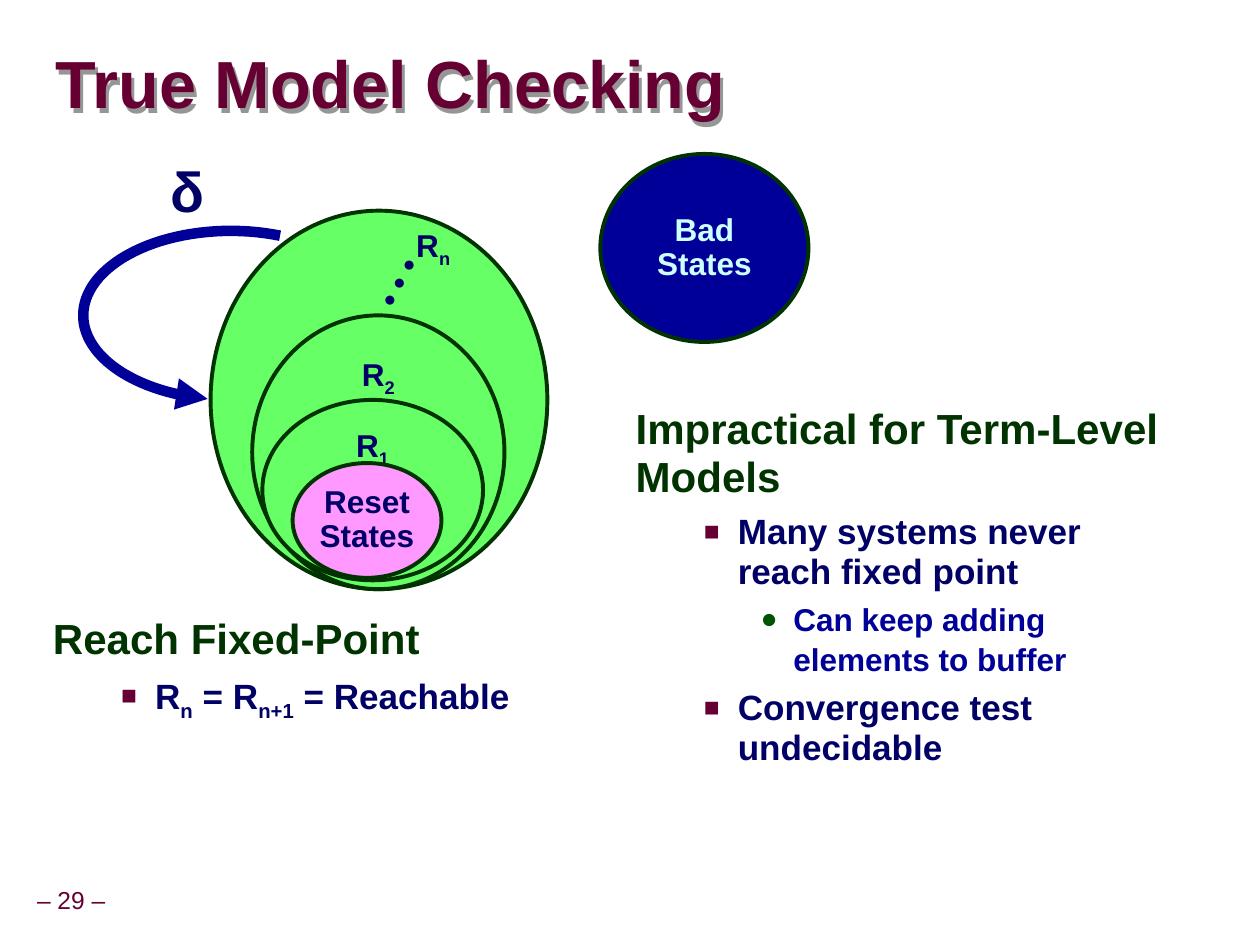
from math import cos, radians, sin

from lxml import etree
from pptx import Presentation
from pptx.dml.color import RGBColor
from pptx.enum.shapes import MSO_SHAPE as Preset
from pptx.enum.text import MSO_ANCHOR as Anchor, MSO_AUTO_SIZE as AutoSize, PP_ALIGN as Align
from pptx.oxml import parse_xml
from pptx.oxml.ns import nsdecls, qn
from pptx.util import Inches, Pt

MAROON = RGBColor(0x66, 0x00, 0x33)
DARK_GREEN = RGBColor(0x00, 0x33, 0x00)
BULLET_GREEN = RGBColor(0x00, 0x54, 0x00)
LIGHT_GREEN = RGBColor(0x66, 0xFF, 0x66)
NAVY = RGBColor(0x00, 0x00, 0x66)
BLUE = RGBColor(0x00, 0x00, 0x99)
PINK = RGBColor(0xFF, 0x99, 0xFF)
PALE_CYAN = RGBColor(0xCC, 0xFF, 0xFF)


def write(paragraph, text, size, color, bold=True, spacing=0.9, align=Align.CENTER):
    """Fill a paragraph; the pieces between bars become subscripts."""
    paragraph.alignment = align
    paragraph.line_spacing = spacing
    for index, piece in enumerate(text.split("|")):
        if not piece:
            continue
        run = paragraph.add_run()
        run.text = piece
        run.font.name = "Arial"
        run.font.size = Pt(size)
        run.font.bold = bold
        run.font.color.rgb = color
        if index % 2:
            run.font._element.set("baseline", "-25000")


def set_frame(shape, box, inset_x, inset_y, anchor=Anchor.TOP, wrap=False):
    """Place a shape and set up its text frame."""
    shape.left, shape.top, shape.width, shape.height = [Inches(value) for value in box]
    frame = shape.text_frame
    frame.auto_size = AutoSize.NONE
    frame.word_wrap = wrap
    frame.vertical_anchor = anchor
    frame.margin_left = frame.margin_right = Inches(inset_x)
    frame.margin_top = frame.margin_bottom = Inches(inset_y)
    return frame


presentation = Presentation()
presentation.slide_width = Inches(9.99)
presentation.slide_height = Inches(7.49)
slide = presentation.slides.add_slide(presentation.slide_layouts[3])
shapes = slide.shapes
title, left_body, right_body = slide.placeholders

# Title with a hard grey shadow
frame = set_frame(title, (0.44, 0.27, 9.5, 0.85), 0, 0, Anchor.MIDDLE, True)
write(frame.paragraphs[0], "True Model Checking", 38, MAROON, spacing=0.87, align=Align.LEFT)
title.fill.background()
title._element.spPr.append(parse_xml(
    f'<a:effectLst {nsdecls("a")}><a:outerShdw dist="42000" dir="3600000" algn="ctr" '
    'rotWithShape="0"><a:srgbClr val="969696"/></a:outerShdw></a:effectLst>'))

# Lists: size, colour, line spacing, space before, indent, hanging, bullet, its colour and size
LEVELS = [
    (24, DARK_GREEN, 0.95, 15, 0, 0, None, None, None),
    (20, NAVY, 0.95, 6.2, 0.81, 0.27, "■", MAROON, 75),
    (18, BLUE, 1.07, 2.2, 1.25, 0.26, "●", BULLET_GREEN, 90),
]
lists = [
    (left_body, (0.32, 4.83, 4.45, 2.2), [
        (0, "Reach Fixed-Point"),
        (1, "R|n| = R|n+1| = Reachable"),
    ]),
    (right_body, (4.94, 3.17, 4.45, 3.87), [
        (0, "Impractical for Term-Level Models"),
        (1, "Many systems never reach fixed point"),
        (2, "Can keep adding elements to buffer"),
        (1, "Convergence test undecidable"),
    ]),
]
for body, box, items in lists:
    frame = set_frame(body, box, 0.1, 0.05, wrap=True)
    for index, (level, text) in enumerate(items):
        size, color, spacing, before, indent, hanging, bullet, bullet_color, percent = LEVELS[level]
        paragraph = frame.add_paragraph() if index else frame.paragraphs[0]
        paragraph.level = level
        paragraph.space_before = Pt(before if index else 0)
        write(paragraph, text, size, color, spacing=spacing, align=Align.LEFT)
        properties = paragraph._p.get_or_add_pPr()
        properties.set("marL", str(Inches(indent)))
        properties.set("indent", str(-Inches(hanging)))
        if bullet:
            color_element = etree.SubElement(properties, qn("a:buClr"))
            etree.SubElement(color_element, qn("a:srgbClr"), val=str(bullet_color))
            etree.SubElement(properties, qn("a:buSzPct"), val=str(percent * 1000))
            etree.SubElement(properties, qn("a:buFont"), typeface="Arial")
            etree.SubElement(properties, qn("a:buChar"), char=bullet)
        else:
            etree.SubElement(properties, qn("a:buNone"))

# State sets, from the outermost inwards
state_sets = [
    ((1.67, 1.67, 2.67, 3), LIGHT_GREEN, NAVY, [], Anchor.TOP),
    ((2, 2.5, 2, 2.17), LIGHT_GREEN, NAVY, ["R|2|"], Anchor.TOP),
    ((2.08, 3.17, 1.75, 1.43), LIGHT_GREEN, NAVY, ["R|1|"], Anchor.TOP),
    ((2.32, 3.67, 1.18, 0.91), PINK, NAVY, ["Reset", "States"], Anchor.MIDDLE),
    ((4.76, 1.22, 1.65, 1.49), BLUE, PALE_CYAN, ["Bad", "States"], Anchor.MIDDLE),
]
for box, fill, color, lines, anchor in state_sets:
    ellipse = shapes.add_shape(Preset.OVAL, 0, 0, 0, 0)
    ellipse.shadow.inherit = False
    ellipse.fill.solid()
    ellipse.fill.fore_color.rgb = fill
    ellipse.line.color.rgb = DARK_GREEN
    ellipse.line.width = Pt(2.25)
    frame = set_frame(ellipse, box, 0.05, 0, anchor)
    for index, line in enumerate(lines):
        paragraph = frame.add_paragraph() if index else frame.paragraphs[0]
        write(paragraph, line, 18, color)

# Transition arrow: part of an ellipse, run anticlockwise from upper right to bottom
CENTER_X, CENTER_Y, RADIUS_X, RADIUS_Y = 1.83, 2.5, 1.17, 0.67
START, END, STEPS = -70.5, -261, 60
angles = [radians(START + (END - START) * step / STEPS) for step in range(STEPS + 1)]
points = [(Inches(CENTER_X + RADIUS_X * cos(angle)), Inches(CENTER_Y + RADIUS_Y * sin(angle)))
          for angle in angles]
builder = shapes.build_freeform(*points[0])
builder.add_line_segments(points[1:], close=False)
arrow = builder.convert_to_shape()
arrow.shadow.inherit = False
arrow.fill.background()
arrow.line.color.rgb = BLUE
arrow.line.width = Pt(6)
etree.SubElement(arrow.line._get_or_add_ln(), qn("a:tailEnd"), type="triangle")

# Free labels and slide number
labels = [
    ("• • •", (2.92, 2.06, 0.5, 0.37), 18, NAVY, True, 299),
    ("R|n|", (3.25, 1.75, 0.37, 0.41), 18, NAVY, True, 0),
    ("δ", (1.33, 1.25, 0.32, 0.58), 32, NAVY, True, 0),
    ("– 29 –", (0.1, 6.99, 0.93, 0.31), 14, MAROON, False, 0),
]
for text, box, size, color, bold, rotation in labels:
    label = shapes.add_textbox(0, 0, 0, 0)
    frame = set_frame(label, box, 0.05, 0.05)
    label.rotation = rotation
    write(frame.paragraphs[0], text, size, color, bold)

presentation.save("out.pptx")
